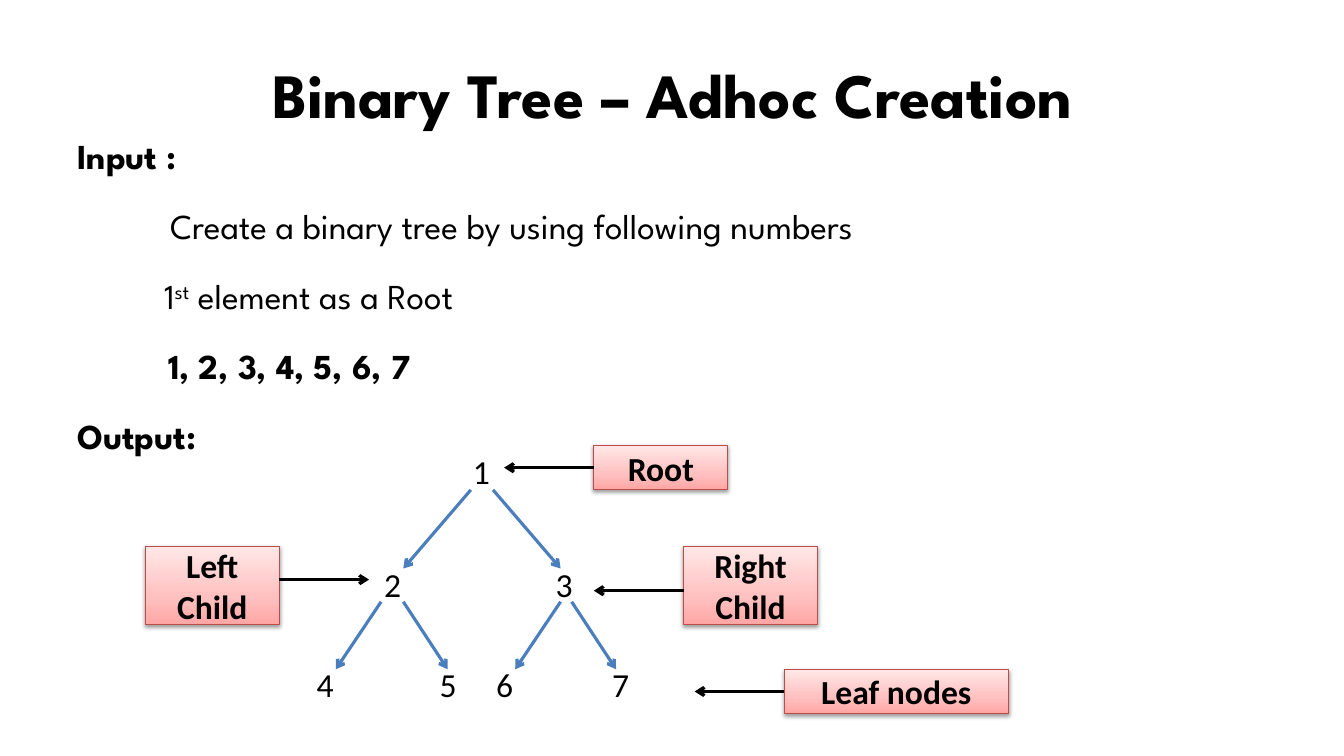
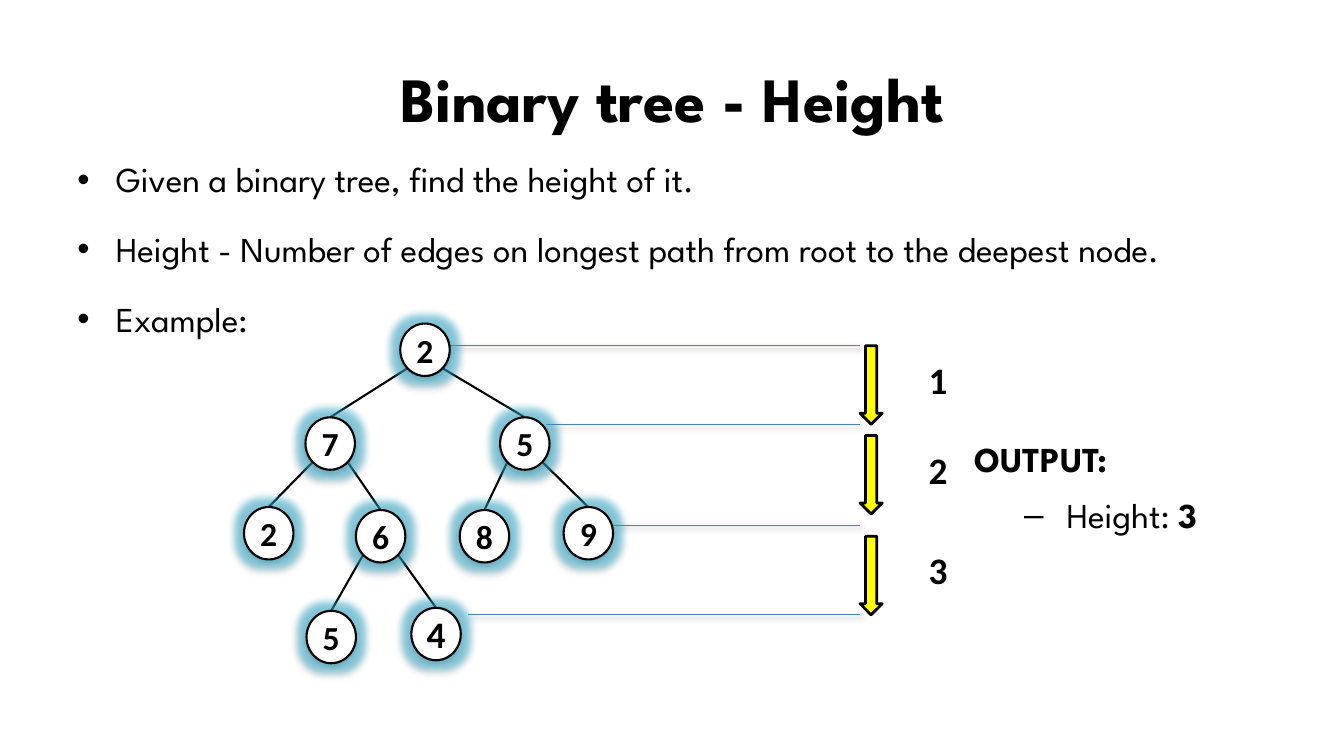
from lxml.etree import fromstring
from pptx import Presentation
from pptx.dml.color import RGBColor as RGB
from pptx.enum.shapes import MSO_CONNECTOR as CONN, MSO_SHAPE as SHAPE
from pptx.enum.text import MSO_ANCHOR as ANCHOR, PP_ALIGN as ALIGN
from pptx.oxml.ns import nsdecls, qn
from pptx.util import Inches, Pt

BLACK, WHITE, YELLOW = RGB(0, 0, 0), RGB(255, 255, 255), RGB(255, 255, 0)
BLUE, RED = RGB(0x4B, 0x7E, 0xBC), RGB(0xBF, 0x4C, 0x48)
PINKS = ((0, "FFA6A5"), (35, "FFC0BF"), (100, "FFE7E7"))
TITLE = {"name": "League Spartan", "size": Pt(45), "bold": True}
BODY = {"name": "League Spartan", "size": Pt(25), "bold": False}
STRONG = {**BODY, "bold": True}
NODE = {"name": "Calibri", "size": Pt(24), "bold": False}
LABEL = {**NODE, "bold": True}
LEVEL = {**LABEL, "size": Pt(26.7)}
GLOW = '<a:glow rad="139700"><a:srgbClr val="33B5D9"><a:alpha val="50000"/></a:srgbClr></a:glow>'


def element(xml):
    """Parse a DrawingML fragment."""
    tag, rest = xml.split(">", 1)
    slash = "/" if tag.endswith("/") else ""
    return fromstring(f"{tag.rstrip('/')} {nsdecls('a')}{slash}>{rest}")


def shadow(alpha, blur, dist, angle):
    """Return an outer shadow with lengths in points."""
    return (f'<a:outerShdw blurRad="{int(blur * 12700)}" dist="{int(dist * 12700)}" '
            f'dir="{angle * 60000}" rotWithShape="0"><a:srgbClr val="000000">'
            f'<a:alpha val="{alpha * 1000}"/></a:srgbClr></a:outerShdw>')


def set_effects(sp, effects=""):
    """Give a shape exactly these effects."""
    sp._element.spPr.append(element(f"<a:effectLst>{effects}</a:effectLst>"))


def add_run(p, text, fmt, baseline=0):
    """Append a formatted run."""
    r = p.add_run()
    r.text = text
    for key, value in fmt.items():
        setattr(r.font, key, value)
    r.font.color.rgb = BLACK
    if baseline:
        r._r.get_or_add_rPr().set("baseline", str(baseline * 1000))


def add_centered(sp, text, fmt, inset=0.1):
    """Write centred lines in the middle of a shape."""
    tf = sp.text_frame
    for key, value in {"word_wrap": True, "vertical_anchor": ANCHOR.MIDDLE,
                       "margin_left": Inches(inset), "margin_right": Inches(inset)}.items():
        setattr(tf, key, value)
    for i, line in enumerate(text.split("\n")):
        p = tf.add_paragraph() if i else tf.paragraphs[0]
        p.alignment = ALIGN.CENTER
        add_run(p, line, fmt)
    return tf


def add_box(s, left, top, width, height):
    """Add an empty text box."""
    return s.shapes.add_textbox(*map(Inches, (left, top, width, height)))


def add_shape(s, kind, box, fill, line, weight, effects=""):
    """Add an outlined shape; no fill colour gives the pink gradient."""
    sp = s.shapes.add_shape(kind, *map(Inches, box))
    if fill is None:
        sp.fill.gradient()
        sp.fill.gradient_angle = 90
        stops = sp._element.spPr.find(".//" + qn("a:gsLst"))
        stops[:] = [element(f'<a:gs pos="{pos * 1000}"><a:srgbClr val="{color}"/></a:gs>')
                    for pos, color in PINKS]
    else:
        sp.fill.solid()
        sp.fill.fore_color.rgb = fill
    sp.line.color.rgb = line
    sp.line.width = Pt(weight)
    set_effects(sp, effects)
    return sp


def add_line(s, x1, y1, x2, y2, color, weight, arrow=False, effects=""):
    """Add a straight line, optionally with an arrowhead at its end."""
    sp = s.shapes.add_connector(CONN.STRAIGHT, *map(Inches, (x1, y1, x2, y2)))
    sp.line.color.rgb = color
    sp.line.width = Pt(weight)
    if arrow:
        sp.line._get_or_add_ln().append(element('<a:tailEnd type="arrow"/>'))
    set_effects(sp, effects)


def add_title(s, text, spacing=1.0):
    """Add the slide title."""
    tf = add_centered(add_box(s, 0.67, 0.3, 12, 1.25), text, TITLE)
    tf.paragraphs[0].line_spacing = spacing


def add_body(s, box, lines, bullet=None):
    """Add body lines, each a left margin, a first-line indent and its runs."""
    tf = add_box(s, *box).text_frame
    tf.word_wrap = True
    for i, (margin, indent, runs) in enumerate(lines):
        p = tf.add_paragraph() if i else tf.paragraphs[0]
        pPr = p._p.get_or_add_pPr()
        pPr.set("marL", str(Inches(margin)))
        pPr.set("indent", str(Inches(indent)))
        if bullet:
            pPr.append(element('<a:buFont typeface="Arial"/>'))
            pPr.append(element(f'<a:buChar char="{bullet}"/>'))
        p.line_spacing = 1.5
        if i:
            p.space_before = Pt(5)
        for run in runs:
            add_run(p, *run)


def add_plain_tree(s, left, top):
    """Draw the numbered tree with arrows from parent to child."""
    rows = ((0, ((1.55, "1"),)), (1.12, ((0.67, "2"), (2.37, "3"))),
            (2.12, ((0, "4"), (1.22, "5"), (1.78, "6"), (2.93, "7"))))
    edges = ((0.44, 1.22, ((1.78, 1.11), (2, 2.67))),
             (1.55, 2.22, ((0.89, 0.44), (1.11, 1.55), (2.67, 2.22), (2.78, 3.22))))
    for y1, y2, spans in edges:
        for x1, x2 in spans:
            add_line(s, left + x1, top + y1, left + x2, top + y2, BLUE, 2.25, True)
    for y, nodes in rows:
        for x, value in nodes:
            add_centered(add_box(s, left + x, top + y, 0.67, 0.5), value, NODE)


def add_callout(s, text, box, drop, direction):
    """Draw a pink label with an arrow leaving its left (-1) or right (1) side."""
    left, top, width, _ = box
    sp = add_shape(s, SHAPE.RECTANGLE, box, None, RED, 0.75, shadow(38, 3.1, 1.6, 90))
    add_centered(sp, text, LABEL)
    x = left + width if direction > 0 else left
    add_line(s, x, top + drop, x + direction * 0.89, top + drop, BLACK, 2.25, True)


def add_ring_tree(s, left, top):
    """Draw the tree of glowing circles; each node names its parent and side."""
    width, height = 0.49, 0.52
    nodes = ((1.55, 0, "2", None, 0), (0.61, 0.93, "7", 0, -1), (2.54, 0.93, "5", 0, 1),
             (0, 1.82, "2", 1, -1), (1.11, 1.85, "6", 1, 1), (2.14, 1.85, "8", 2, -1),
             (3.17, 1.82, "9", 2, 1), (0.62, 2.85, "5", 4, -1), (1.66, 2.82, "4", 4, 1))
    for x, y, value, parent, side in nodes:
        if parent is not None:
            px, py = nodes[parent][:2]
            add_line(s, left + px + width * (0.5 + side * 0.35), top + py + height * 0.85,
                     left + x + width / 2, top + y, BLACK, 1.5)
    for x, y, value, _, _ in nodes:
        sp = add_shape(s, SHAPE.OVAL, (left + x, top + y, width, height), WHITE, BLACK, 1.5,
                       GLOW + shadow(35, 3.1, 1.8, 90))
        add_centered(sp, value, LEVEL if value == "4" else LABEL, 0)


def add_levels(s, left, top):
    """Draw the level lines, the yellow arrows and the level numbers."""
    for start, y in ((4.31, 0), (5.42, 0.78), (6.08, 1.78), (4.64, 2.67)):
        add_line(s, start, top + y, left, top + y, BLUE, 0.75, effects=shadow(40, 4, 3, 45))
    for i, y in enumerate((0, 0.89, 1.89), 1):
        add_shape(s, SHAPE.DOWN_ARROW, (left, top + y, 0.22, 0.78), YELLOW, BLACK, 2)
        add_centered(add_box(s, left + 0.33, top + y, 0.89, 0.67), str(i), LEVEL)


def creation_slide(s):
    """Build the slide on creating a tree."""
    add_title(s, "Binary Tree – Adhoc Creation")
    add_body(s, (0.67, 1.08, 12, 4.95), (
        (0, 0, [("Input :", STRONG)]),
        (0.92, 0, [("Create a binary tree by using following numbers", BODY)]),
        (0.86, 0, [("1", BODY), ("st", BODY, 30), (" element as a Root", BODY)]),
        (0.9, 0, [("1, 2, 3, 4, 5, 6, 7", STRONG)]),
        (0, 0, [("Output:", STRONG)])))
    add_plain_tree(s, 2.89, 4.42)
    for callout in (("Root", (5.89, 4.42, 1.33, 0.44), 0.22, -1),
                    ("Left\nChild", (1.44, 5.42, 1.33, 0.78), 0.33, 1),
                    ("Right\nChild", (6.78, 5.42, 1.33, 0.78), 0.44, -1),
                    ("Leaf nodes", (7.78, 6.64, 2.22, 0.44), 0.22, -1)):
        add_callout(s, *callout)


def height_slide(s):
    """Build the slide on the height of a tree."""
    add_title(s, "Binary tree - Height", 1.1)
    points = ("Given a binary tree, find the height of it.",
              "Height - Number of edges on longest path from root to the deepest node.",
              "Example:")
    add_body(s, (0.67, 1.31, 12, 4.95),
             [(0.38, -0.38, [(text, BODY)]) for text in points], "•")
    add_levels(s, 8.53, 3.43)
    add_body(s, (9.4, 4.64, 2.73, 0.68),
             [(1.08, -0.42, [("Height: ", BODY), ("3", STRONG)])], "–")
    add_ring_tree(s, 2.42, 3.21)
    add_body(s, (8.91, 4.08, 2.41, 0.68), [(0.66, 0, [("OUTPUT:", STRONG)])])


def main():
    """Build and save the presentation."""
    prs = Presentation()
    prs.slide_width, prs.slide_height = Inches(13.33), Inches(7.5)
    for build in (creation_slide, height_slide):
        build(prs.slides.add_slide(prs.slide_layouts[6]))
    prs.save("out.pptx")


if __name__ == "__main__":
    main()
